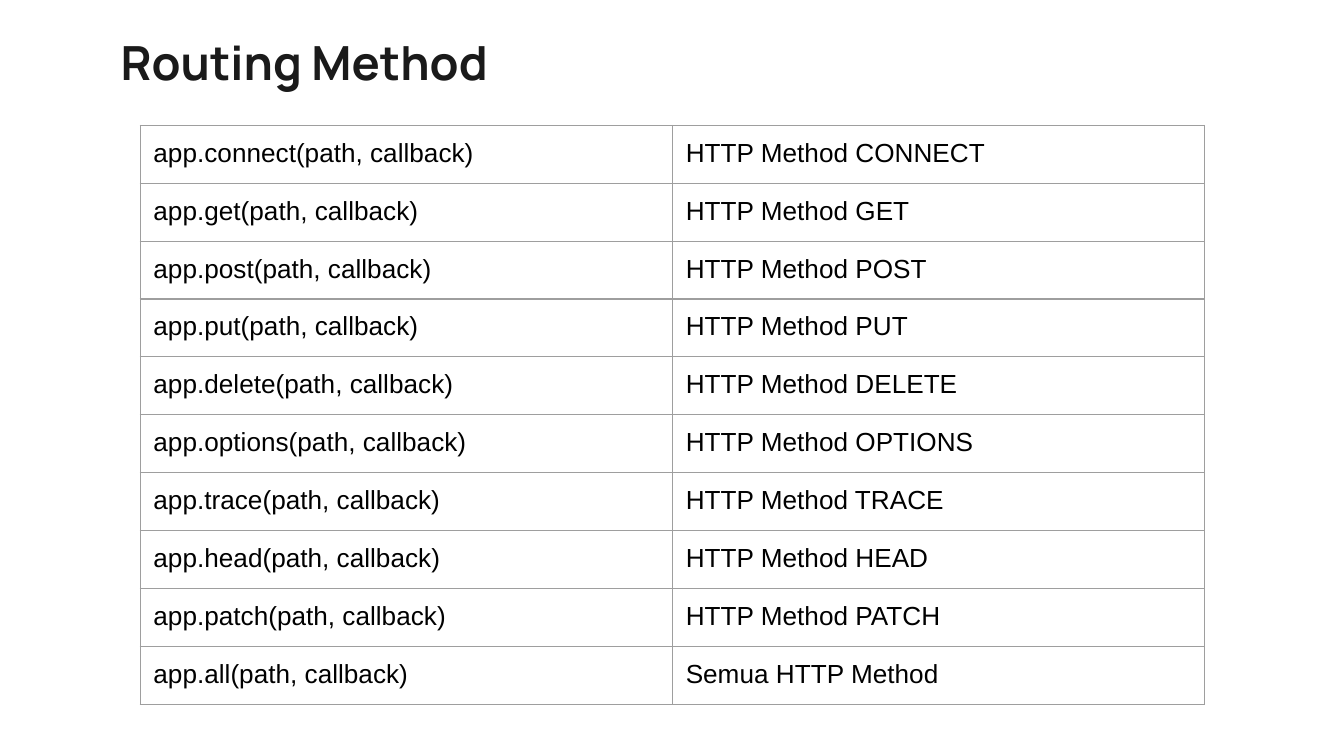
from dataclasses import dataclass

from lxml import etree
from pptx import Presentation
from pptx import util as u
from pptx.dml.color import RGBColor
from pptx.enum import text
from pptx.oxml import ns


@dataclass(frozen=True)
class Theme:
    """Colours, fonts and sizes of the slide."""
    heading: str = "1A1A1A"
    body: str = "000000"
    border: str = "9E9E9E"
    heading_font: str = "Manrope"
    body_font: str = "Arial"
    heading_size: float = 25.2
    body_size: float = 14
    border_width: float = 0.75
    inset: float = 0.25


THEME = Theme()
METHODS = ["connect", "get", "post", "put", "delete", "options", "trace", "head", "patch"]
ROUTES = [(f"app.{method}(path, callback)", f"HTTP Method {method.upper()}") for method in METHODS]
ROUTES.append(("app.all(path, callback)", "Semua HTTP Method"))


def style_font(font, name, size, colour, bold=False):
    """Apply typeface, size, colour and weight to a font."""
    font.name, font.size, font.bold = name, u.Pt(size), bold
    font.color.rgb = RGBColor.from_string(colour)


def set_insets(frame):
    """Give a text frame or cell the same inset on every side."""
    frame.margin_left = frame.margin_right = u.Cm(THEME.inset)
    frame.margin_top = frame.margin_bottom = u.Cm(THEME.inset)


def outline_cell(cell):
    """Draw a thin border on all four sides of a cell."""
    properties = cell._tc.get_or_add_tcPr()
    for position, side in enumerate(("lnL", "lnR", "lnT", "lnB")):
        line = etree.Element(ns.qn(f"a:{side}"), w=str(u.Pt(THEME.border_width)))
        fill = etree.SubElement(line, ns.qn("a:solidFill"))
        etree.SubElement(fill, ns.qn("a:srgbClr"), val=THEME.border)
        properties.insert(position, line)


def add_heading(slide, heading, left, top, width, height):
    """Place the slide heading in the given box."""
    frame = slide.shapes.add_textbox(u.Cm(left), u.Cm(top), u.Cm(width), u.Cm(height)).text_frame
    frame.word_wrap = True
    frame.vertical_anchor = text.MSO_ANCHOR.TOP
    set_insets(frame)
    paragraph = frame.paragraphs[0]
    paragraph.text = heading
    paragraph.line_spacing = 0.95
    style_font(paragraph.font, THEME.heading_font, THEME.heading_size, THEME.heading, True)


def add_routes(slide, routes, left, top, width, height):
    """Place the table of routing methods in the given box."""
    table = slide.shapes.add_table(
        len(routes), len(routes[0]), u.Cm(left), u.Cm(top), u.Cm(width), u.Cm(height)
    ).table
    table.first_row = table.horz_banding = False
    for row, route in enumerate(routes):
        for column, label in enumerate(route):
            cell = table.cell(row, column)
            cell.text = label
            cell.fill.background()
            set_insets(cell)
            outline_cell(cell)
            style_font(cell.text_frame.paragraphs[0].font, THEME.body_font, THEME.body_size, THEME.body)


def main():
    """Build and save the presentation."""
    deck = Presentation()
    deck.slide_width, deck.slide_height = u.Cm(25.4), u.Cm(14.29)
    slide = deck.slides.add_slide(deck.slide_layouts[6])
    add_heading(slide, "Routing Method", 2.03, 0.46, 21.36, 1.5)
    add_routes(slide, ROUTES, 2.65, 2.37, 20.12, 10.6)
    deck.save("out.pptx")


if __name__ == "__main__":
    main()
